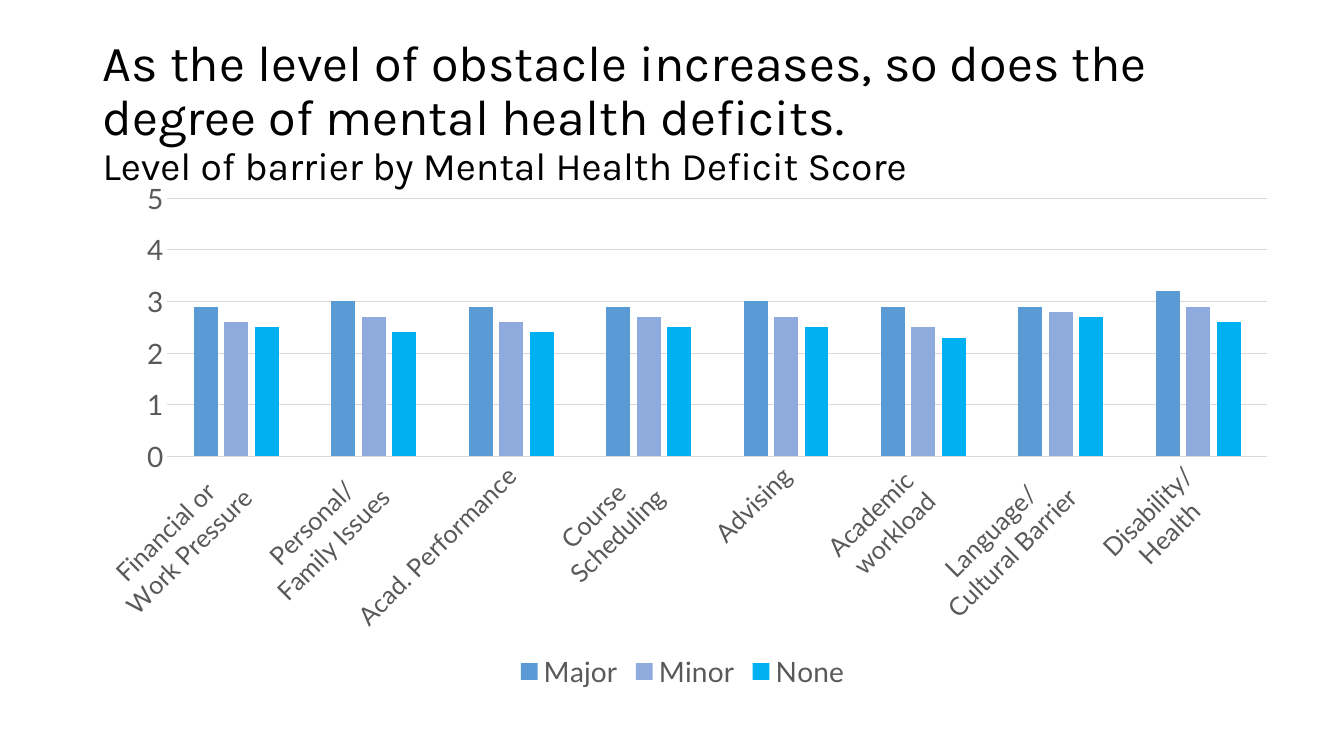
from pptx import Presentation
from pptx.chart.data import CategoryChartData
from pptx.dml.color import RGBColor
from pptx.enum.chart import XL_CHART_TYPE, XL_LEGEND_POSITION, XL_TICK_MARK
from pptx.enum.text import MSO_ANCHOR
from pptx.util import Inches, Pt

CLUSTERED = XL_CHART_TYPE.COLUMN_CLUSTERED
LEGEND_BOTTOM = XL_LEGEND_POSITION.BOTTOM
NO_TICK = XL_TICK_MARK.NONE
MIDDLE = MSO_ANCHOR.MIDDLE

COLORS = {"title": "000000", "label": "595959", "grid": "D9D9D9",
          "Major": "5B9BD5", "Minor": "8FAADC", "None": "00B0F0"}

TITLE_LINES = [
    ("As the level of obstacle increases, so does the degree of mental health deficits.", 36),
    ("Level of barrier by Mental Health Deficit Score", 27.9),
]
BARRIERS = ["Financial or \nWork Pressure", "Personal/\nFamily Issues",
            "Acad. Performance", "Course \nScheduling", "Advising",
            "Academic \nworkload", "Language/\nCultural Barrier",
            "Disability/\nHealth"]
SCORES = {
    "Major": [2.9, 3, 2.9, 2.9, 3, 2.9, 2.9, 3.2],
    "Minor": [2.6, 2.7, 2.6, 2.7, 2.7, 2.5, 2.8, 2.9],
    "None": [2.5, 2.4, 2.4, 2.5, 2.5, 2.3, 2.7, 2.6],
}


def apply(target, values):
    for name, value in values.items():
        setattr(target, name, value)


def color(name):
    return RGBColor.from_string(COLORS[name])


def style_font(font, face, size, color_name):
    apply(font, {"name": face, "size": Pt(size), "bold": False})
    font.color.rgb = color(color_name)


def style_line(line):
    line.color.rgb = color("grid")
    line.width = Pt(0.75)


def add_title(page):
    box = page.shapes.add_textbox(Inches(0.92), Inches(0.4), Inches(11.5), Inches(1.45))
    apply(box.text_frame, {"word_wrap": True, "vertical_anchor": MIDDLE})
    para = box.text_frame.paragraphs[0]
    para.line_spacing = 0.9
    for index, (text, size) in enumerate(TITLE_LINES):
        if index:
            para.add_line_break()
        span = para.add_run()
        span.text = text
        style_font(span.font, "Karla", size, "title")


def style_axes(chart):
    barriers, scores = chart.category_axis, chart.value_axis
    for axis, size in ((barriers, 18), (scores, 20)):
        apply(axis, {"major_tick_mark": NO_TICK, "minor_tick_mark": NO_TICK})
        style_font(axis.tick_labels.font, "Lato", size, "label")
    style_line(barriers.format.line)
    # Slant the barrier names upwards by 45 degrees
    barriers._element.txPr.bodyPr.set("rot", "-2700000")

    apply(scores, {"minimum_scale": 0, "maximum_scale": 5, "major_unit": 1,
                   "has_major_gridlines": True})
    apply(scores.tick_labels, {"number_format": "0", "number_format_is_linked": False})
    scores.format.line.fill.background()
    style_line(scores.major_gridlines.format.line)


def add_score_chart(page):
    data = CategoryChartData()
    data.categories = BARRIERS
    for level, values in SCORES.items():
        data.add_series(level, values)
    chart = page.shapes.add_chart(CLUSTERED, Inches(0.73), Inches(1.69),
                                  Inches(12.08), Inches(5.2), data).chart
    apply(chart, {"has_title": False, "has_legend": True})
    style_font(chart.font, "Lato", 20, "title")

    # Columns
    plot = chart.plots[0]
    apply(plot, {"gap_width": 219, "overlap": -27, "vary_by_categories": False})
    for series in plot.series:
        series.format.fill.solid()
        series.format.fill.fore_color.rgb = color(series.name)

    style_axes(chart)

    # Legend
    apply(chart.legend, {"position": LEGEND_BOTTOM, "include_in_layout": False})
    style_font(chart.legend.font, "Lato", 20, "label")


def main():
    deck = Presentation()
    apply(deck, {"slide_width": Inches(13.33), "slide_height": Inches(7.5)})
    page = deck.slides.add_slide(deck.slide_layouts[6])
    add_title(page)
    add_score_chart(page)
    deck.save("out.pptx")


if __name__ == "__main__":
    main()
